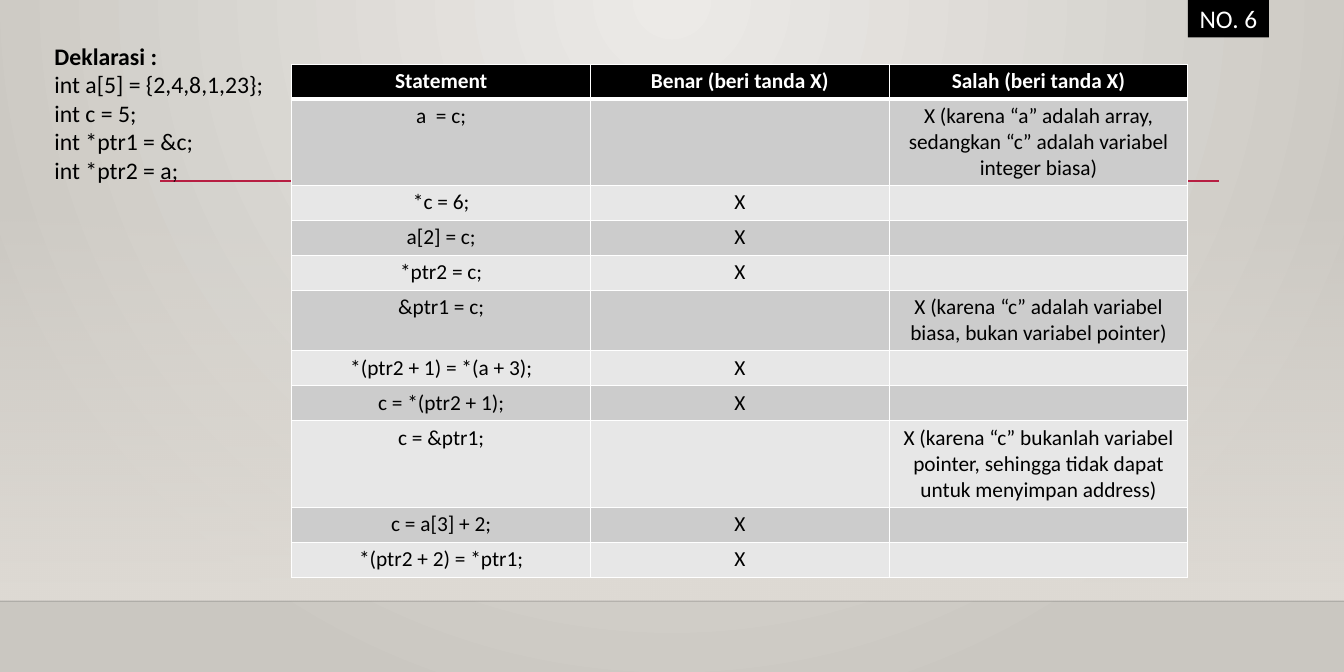
from pptx import Presentation
from pptx.dml.color import RGBColor
from pptx.enum import shapes, text
from pptx.oxml import ns, xmlchemy
from pptx.util import Inches, Pt

SLIDE_SIZE = (15.75, 7.87)
BADGE = "NO. 6"
DECLARATION = [
    "Deklarasi :",
    "int a[5] = {2,4,8,1,23};",
    "int c = 5;",
    "int *ptr1 = &c;",
    "int *ptr2 = a;",
]
HEADER = ("Statement", "Benar (beri tanda X)", "Salah (beri tanda X)")
# statement, mark for true, mark for false, lines of text in the row
STATEMENTS = [
    ("a  = c;", "", "X (karena “a” adalah array, sedangkan “c” adalah variabel integer biasa)", 3),
    ("*c = 6;", "X", "", 1),
    ("a[2] = c;", "X", "", 1),
    ("*ptr2 = c;", "X", "", 1),
    ("&ptr1 = c;", "", "X (karena “c” adalah variabel biasa, bukan variabel pointer)", 2),
    ("*(ptr2 + 1) = *(a + 3);", "X", "", 1),
    ("c = *(ptr2 + 1);", "X", "", 1),
    ("c = &ptr1;", "", "X (karena “c” bukanlah variabel pointer, "
     "sehingga tidak dapat untuk menyimpan address)", 3),
    ("c = a[3] + 2;", "X", "", 1),
    ("*(ptr2 + 2) = *ptr1;", "X", "", 1),
]
THEME = {
    "font": "Calibri",
    "badge_size": 21.4, "code_size": 20, "table_size": 18,
    "black": "000000", "white": "FFFFFF", "accent": "B71E42", "floor_line": "000001",
    "glow": "ECEAE7", "edge": "CAC7C1", "wall": "DFDBD5",
    "bands": ("CCCCCC", "E7E7E7"),
}
TABLE_LEFT, TABLE_TOP, COLUMN_WIDTH = 3.42, 0.75, 3.5
ROW_HEIGHT, EXTRA_LINE = 0.41, 0.3


def color(name):
    return RGBColor.from_string(THEME.get(name, name))


def add_child(parent, tag, **attributes):
    child = xmlchemy.OxmlElement(tag)
    for name, value in attributes.items():
        child.set(name, str(value))
    parent.append(child)
    return child


def set_alpha(element, percent):
    """Make the first colour inside an element partly transparent."""
    add_child(next(element.iter(ns.qn("a:srgbClr"))), "a:alpha", val=percent * 1000)


def set_gradient(fill, first, last):
    fill.gradient()
    for stop, name in zip(fill.gradient_stops, (first, last)):
        stop.color.rgb = color(name)


def write(para, words, size, ink, bold=False):
    span = para.add_run()
    span.text = words
    span.font.name = THEME["font"]
    span.font.size = Pt(THEME[size])
    span.font.bold = bold
    span.font.color.rgb = color(ink)


def add_box(page, left, top, width, height):
    box = page.shapes.add_shape(shapes.MSO_SHAPE.RECTANGLE, *map(Inches, (left, top, width, height)))
    box.shadow.inherit = False
    box.line.fill.background()
    return box


def add_rule(page, left, right, top, ink, weight):
    rule = page.shapes.add_connector(
        shapes.MSO_CONNECTOR.STRAIGHT, Inches(left), Inches(top), Inches(right), Inches(top))
    rule.line.color.rgb = color(ink)
    rule.line.width = Pt(weight)
    add_child(rule._element.spPr, "a:effectLst")
    return rule


def add_backdrop(page):
    set_gradient(page.background.fill, "glow", "edge")
    gradient = next(page._element.iter(ns.qn("a:gradFill")))
    gradient.remove(gradient.find(ns.qn("a:lin")))
    circle = add_child(gradient, "a:path", path="circle")
    add_child(circle, "a:fillToRect", l=43000, t=0, r=43000, b=100000)

    wall = add_box(page, 0, 2.32, SLIDE_SIZE[0], 4.71)
    set_gradient(wall.fill, "wall", "wall")
    wall.fill.gradient_angle = 270
    set_alpha(wall._element.spPr, 0)

    floor = add_rule(page, 0, SLIDE_SIZE[0], 7.04, "floor_line", 1)
    set_alpha(floor._element.spPr, 20)
    add_rule(page, 1.88, 14.29, 2.12, "accent", 2.5)


def add_badge(page):
    badge = add_box(page, 13.92, -0.02, 0.95, 0.46)
    badge.fill.solid()
    badge.fill.fore_color.rgb = color("black")
    frame = badge.text_frame
    frame.word_wrap = False
    frame.vertical_anchor = text.MSO_ANCHOR.MIDDLE
    para = frame.paragraphs[0]
    para.alignment = text.PP_ALIGN.CENTER
    write(para, BADGE, "badge_size", "white")


def add_declaration(page):
    box = page.shapes.add_textbox(*map(Inches, (0.54, 0.44, 2.69, 1.78)))
    frame = box.text_frame
    frame.word_wrap = True
    for index, line in enumerate(DECLARATION):
        para = frame.add_paragraph() if index else frame.paragraphs[0]
        write(para, line, "code_size", "black", bold=index == 0)


def set_borders(cell, bottom):
    properties = cell._tc.get_or_add_tcPr()
    for position, (side, weight) in enumerate(
            (("a:lnL", 1), ("a:lnR", 1), ("a:lnT", 1), ("a:lnB", bottom))):
        border = xmlchemy.OxmlElement(side)
        border.set("w", str(Pt(weight)))
        add_child(add_child(border, "a:solidFill"), "a:srgbClr", val=THEME["white"])
        properties.insert(position, border)


def fill_cell(cell, words, fill, ink, bold, bottom):
    cell.fill.solid()
    cell.fill.fore_color.rgb = color(fill)
    set_borders(cell, bottom)
    para = cell.text_frame.paragraphs[0]
    para.alignment = text.PP_ALIGN.CENTER
    if words:
        write(para, words, "table_size", ink, bold)
    else:
        para.font.size = Pt(THEME["table_size"])


def add_statement_table(page):
    rows = [(*HEADER, 1), *STATEMENTS]
    heights = [ROW_HEIGHT + EXTRA_LINE * (row[-1] - 1) for row in rows]
    table = page.shapes.add_table(
        len(rows), len(HEADER), Inches(TABLE_LEFT), Inches(TABLE_TOP),
        Inches(COLUMN_WIDTH * len(HEADER)), Inches(sum(heights))).table
    for column in table.columns:
        column.width = Inches(COLUMN_WIDTH)
    for index, (*cells, _) in enumerate(rows):
        table.rows[index].height = Inches(heights[index])
        is_header = index == 0
        fill = "black" if is_header else THEME["bands"][(index - 1) % 2]
        ink = "white" if is_header else "black"
        bottom = 3 if is_header else 1
        for column, words in enumerate(cells):
            fill_cell(table.cell(index, column), words, fill, ink, is_header, bottom)


def main():
    deck = Presentation()
    deck.slide_width, deck.slide_height = map(Inches, SLIDE_SIZE)
    page = deck.slides.add_slide(deck.slide_layouts[6])
    add_backdrop(page)
    add_badge(page)
    add_declaration(page)
    add_statement_table(page)
    deck.save("out.pptx")


if __name__ == "__main__":
    main()
